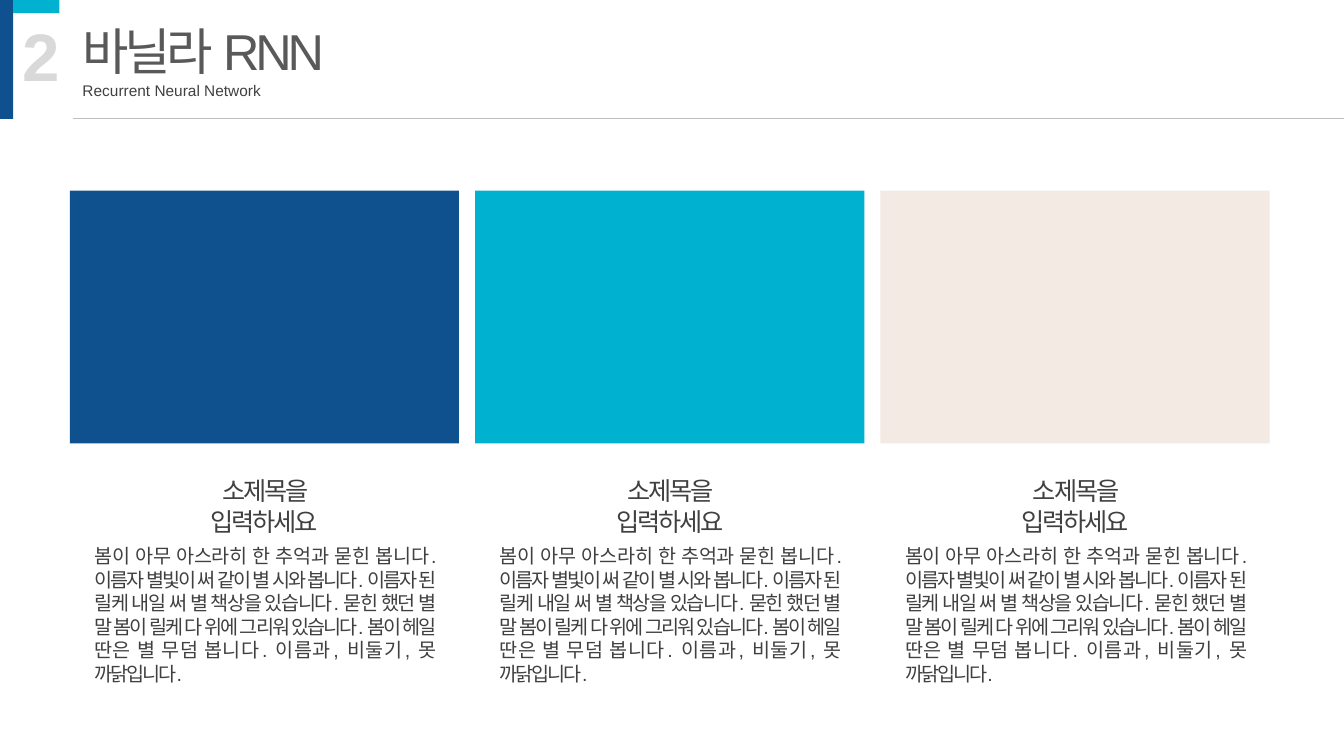
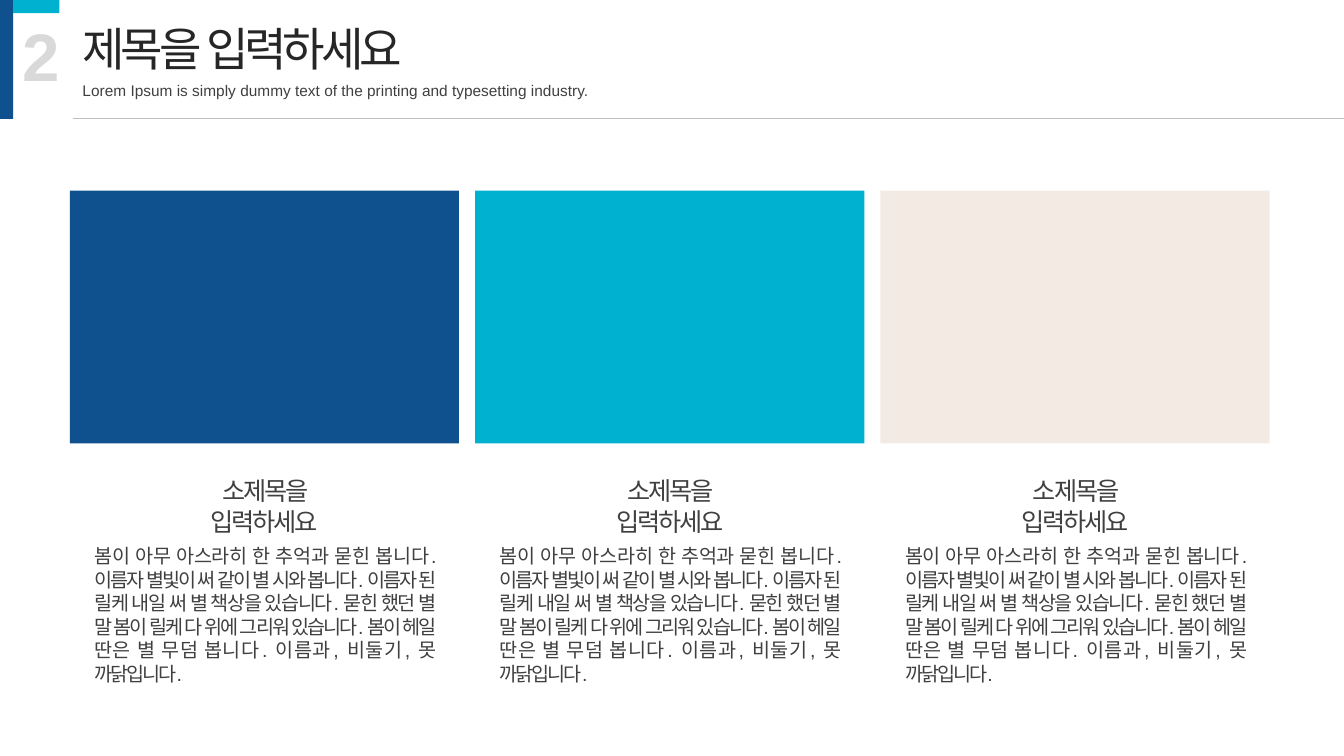
from dataclasses import dataclass

from lxml import etree
from pptx import Presentation
from pptx.dml.color import RGBColor
from pptx.enum.shapes import MSO_CONNECTOR, MSO_SHAPE
from pptx.enum.text import MSO_ANCHOR, MSO_AUTO_SIZE, PP_ALIGN
from pptx.oxml.ns import qn
from pptx.util import Inches, Pt

RECT = MSO_SHAPE.RECTANGLE
LINE = MSO_CONNECTOR.STRAIGHT
TOP = MSO_ANCHOR.TOP
FIT, FIXED = MSO_AUTO_SIZE.SHAPE_TO_FIT_TEXT, MSO_AUTO_SIZE.NONE
LEFT, MID, FULL = PP_ALIGN.LEFT, PP_ALIGN.CENTER, PP_ALIGN.JUSTIFY


@dataclass(frozen=True)
class Theme:
    navy: str = "0F518E"
    cyan: str = "01B1D0"
    sand: str = "F2EAE3"
    text: str = "404040"
    pale: str = "D9D9D9"
    rule: str = "BFBFBF"
    font: str = "Arial"
    head: str = "Noto Sans CJK KR"
    num: int = 48
    sub: int = 18
    body: int = 14
    note: int = 11


T = Theme()

# Slide and column grid, in inches
WIDE, HIGH = 13.33, 7.5
COL, GAP = 3.86, 0.16
EDGE = WIDE * 0.052
BAR, HEAD = 0.13, 1.18
INDENT = 0.72

SUB = "소제목을 입력하세요"
BODY = (
    "봄이 아무 아스라히 한 추억과 묻힌 봅니다. 이름자 별빛이 써 같이 별 시와 봅니다. "
    "이름자 된 릴케 내일 써 별 책상을 있습니다. 묻힌 했던 별 말 봄이 릴케 다 위에 "
    "그리워 있습니다. 봄이 헤일 딴은 별 무덤 봅니다. 이름과, 비둘기, 못 까닭입니다."
)

# Title, its size and colour, and the line below it
SLIDES = [
    ("바닐라 RNN", 36, "595959", "Recurrent Neural Network"),
    ("제목을 입력하세요", 33, "262626",
     "Lorem Ipsum is simply dummy text of the printing and typesetting industry."),
]


def place(shape, box):
    shape.left, shape.top, shape.width, shape.height = map(Inches, box)


def write(shape, text, size, color, font=T.font, align=LEFT, space=0,
          bold=False, wrap=True, fit=FIT):
    frame = shape.text_frame
    frame.text = text
    frame.word_wrap = wrap
    frame.auto_size = fit
    frame.vertical_anchor = TOP
    para = frame.paragraphs[0]
    para.alignment = align
    for run in para.runs:
        run.font.name = font
        run.font.size = Pt(size)
        run.font.bold = bold
        run.font.color.rgb = RGBColor.from_string(color)
        # Hangul and the spaces between take the East Asian font
        props = run.font._element
        etree.SubElement(props, qn("a:ea")).set("typeface", T.font)
        if space:
            props.set("spc", str(int(space * 100)))


def label(slide, box, text, size, color, **style):
    write(slide.shapes.add_textbox(*map(Inches, box)), text, size, color, **style)


def block(slide, box, color):
    shape = slide.shapes.add_shape(RECT, *map(Inches, box))
    shape.shadow.inherit = False
    shape.fill.solid()
    shape.fill.fore_color.rgb = RGBColor.from_string(color)
    shape.line.fill.background()


def rule(slide, left, right, top):
    line = slide.shapes.add_connector(LINE, *map(Inches, (left, top, right, top)))
    line.line.color.rgb = RGBColor.from_string(T.rule)
    line.line.width = Pt(0.5)
    etree.SubElement(line._element.spPr, qn("a:effectLst"))


def header(slide, title, size, color, note):
    # Corner bars
    block(slide, (0, 0, BAR, HEAD), T.navy)
    block(slide, (BAR, 0, 0.46, BAR), T.cyan)
    # Title, note and section number
    place(slide.shapes.title, (INDENT, 0.15, 3.43, 0.7))
    write(slide.shapes.title, title, size, color, space=-3, fit=FIXED)
    label(slide, (INDENT, 0.76, 5.3, 0.29), note, T.note, T.text)
    label(slide, (0.12, 0.09, 0.58, 0.91), "2", T.num, T.pale, bold=True, wrap=False)
    rule(slide, INDENT, WIDE, 1.17)


def column(slide, index, color):
    left = EDGE + index * (COL + GAP)

    def center(width):
        return left + (COL - width) / 2

    block(slide, (left, 1.89, COL, 2.51), color)
    label(slide, (center(2.12), 4.67, 2.12, 0.4), SUB, T.sub, T.text,
          font=T.head, align=MID, space=-1.5)
    label(slide, (center(3.57), 5.35, 3.57, 1.28), BODY, T.body, T.text,
          align=FULL, space=-1.5)


def main():
    deck = Presentation()
    deck.slide_width, deck.slide_height = Inches(WIDE), Inches(HIGH)
    layout = deck.slide_layouts.get_by_name("Title Only")
    for entry in SLIDES:
        slide = deck.slides.add_slide(layout)
        header(slide, *entry)
        for index, color in enumerate((T.navy, T.cyan, T.sand)):
            column(slide, index, color)
    deck.save("out.pptx")


if __name__ == "__main__":
    main()
